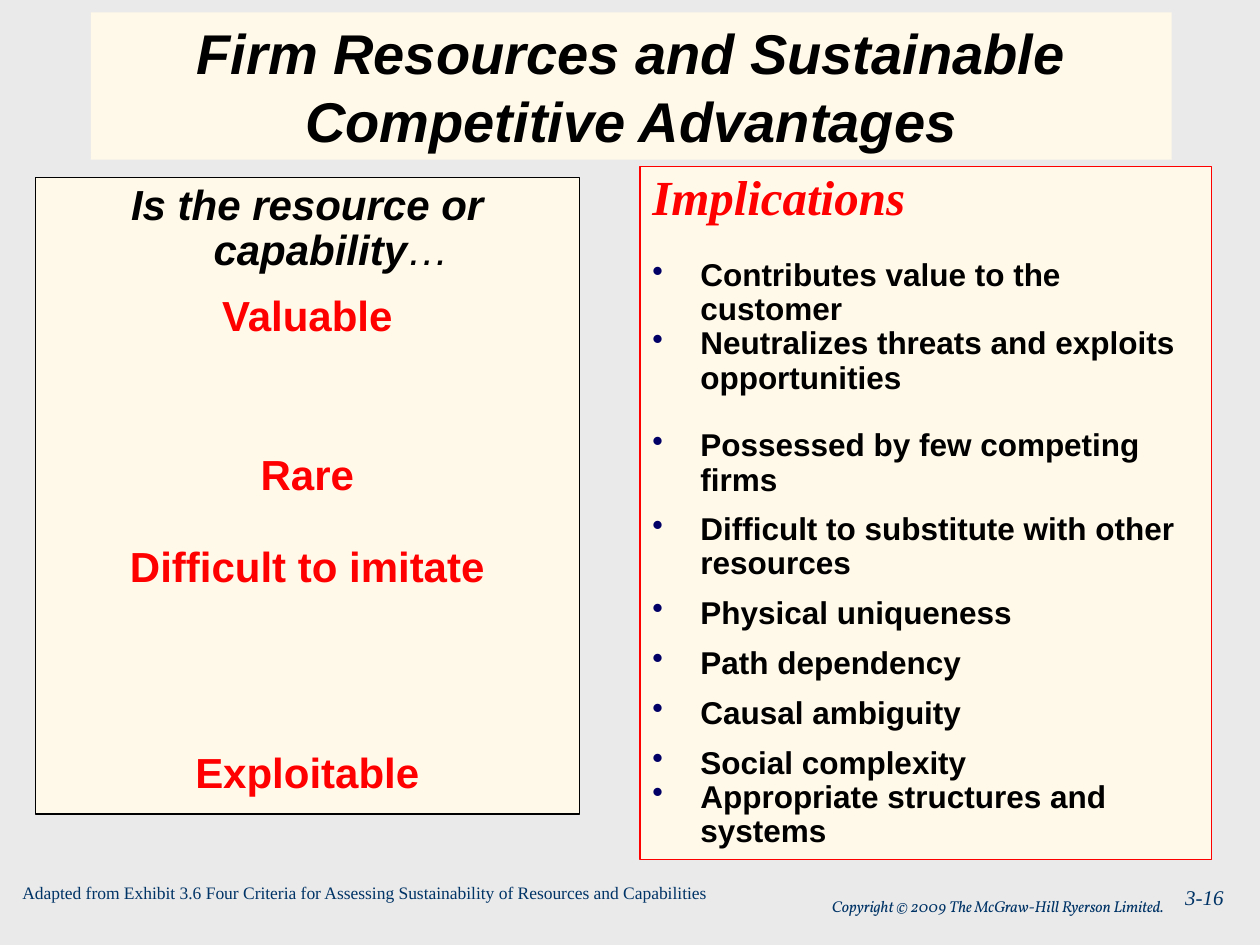
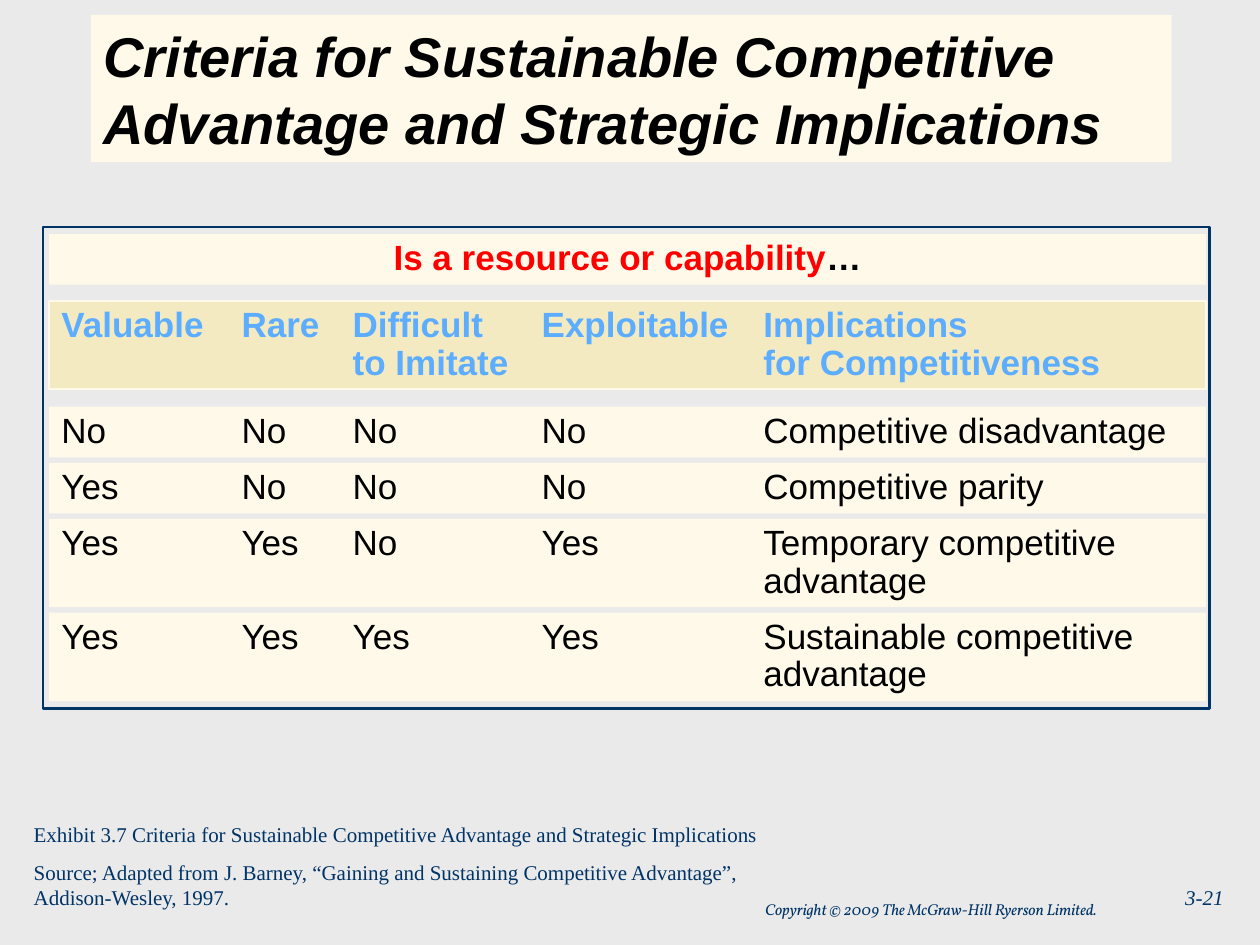
from dataclasses import dataclass

from lxml import etree
from pptx import Presentation
from pptx.dml.color import RGBColor
from pptx.enum.shapes import MSO_SHAPE
from pptx.enum.text import MSO_ANCHOR, MSO_AUTO_SIZE, PP_ALIGN
from pptx.oxml.ns import qn
from pptx.util import Cm, Pt

RECTANGLE = MSO_SHAPE.RECTANGLE
TOP, BOTTOM = MSO_ANCHOR.TOP, MSO_ANCHOR.BOTTOM
NO_FIT = MSO_AUTO_SIZE.NONE
LEFT, CENTER, RIGHT = PP_ALIGN.LEFT, PP_ALIGN.CENTER, PP_ALIGN.RIGHT


@dataclass(frozen=True)
class Theme:
    background: str = "EAEAEA"
    panel: str = "FFF9E9"
    header: str = "FFEB99"
    header_text: str = "5CADFF"
    ink: str = "000000"
    accent: str = "FF0000"
    navy: str = "003366"
    bullet: str = "000066"
    sans: str = "Arial"
    serif: str = "Times New Roman"
    footer_font: str = "Vollkorn"
    title_size: float = 32
    implications_size: float = 28
    criteria_size: float = 24
    table_size: float = 20
    list_size: float = 18
    note_size: float = 12
    source_size: float = 10
    copyright_size: float = 9


THEME = Theme()
HANGING = 0.97
COLUMN_TABS = (3.63, 5.87, 9.68, 14.15)
COPYRIGHT = "Copyright © 2009 The McGraw-Hill Ryerson Limited."


def add_element(parent, tag, **attributes):
    element = etree.SubElement(parent, qn(tag))
    for name, value in attributes.items():
        element.set(name, str(value))
    return element


def write(para, text, *, size, font=THEME.sans, color=THEME.ink, bold=False,
          italic=False, align=LEFT, spacing=1.0, before=0, hanging=0,
          bullet=False, tabs=()):
    """Add a span of text; paragraph settings come with its first span."""
    if not para.runs:
        properties = para._p.get_or_add_pPr()
        # An explicit indent makes LibreOffice discard the tab stops
        if hanging:
            properties.set("marL", str(Cm(hanging)))
            properties.set("indent", str(-Cm(hanging)))
        if bullet:
            bullet_color = add_element(properties, "a:buClr")
            add_element(bullet_color, "a:srgbClr", val=THEME.bullet)
            add_element(properties, "a:buChar", char="•")
        else:
            add_element(properties, "a:buNone")
        if tabs:
            stops = add_element(properties, "a:tabLst")
            for stop in tabs:
                add_element(stops, "a:tab", pos=Cm(stop), algn="l")
        para.alignment = align
        para.line_spacing = spacing
        para.space_before = Pt(before)
        para.space_after = Pt(0)
    span = para.add_run()
    span.text = text
    span.font.name = font
    span.font.size = Pt(size)
    span.font.bold = bold
    span.font.italic = italic
    span.font.color.rgb = RGBColor.from_string(color)


class Builder:
    def __init__(self, theme):
        self.theme = theme
        self.deck = Presentation()
        self.deck.slide_width, self.deck.slide_height = Cm(25.4), Cm(19.05)
        self.page = None

    def new_page(self, layout):
        self.page = self.deck.slides.add_slide(self.deck.slide_layouts[layout])
        fill = self.page.background.fill
        fill.solid()
        fill.fore_color.rgb = RGBColor.from_string(self.theme.background)

    def place(self, shape, left, top, width, height):
        shape.left, shape.top = Cm(left), Cm(top)
        shape.width, shape.height = Cm(width), Cm(height)

    def paint(self, shape, fill=None, line=None, line_width=0.75, alpha=None):
        if fill:
            shape.fill.solid()
            shape.fill.fore_color.rgb = RGBColor.from_string(fill)
            if alpha is not None:
                color = shape._element.spPr.find(".//" + qn("a:srgbClr"))
                add_element(color, "a:alpha", val=alpha * 1000)
        else:
            shape.fill.background()
        if line:
            shape.line.color.rgb = RGBColor.from_string(line)
            shape.line.width = Pt(line_width)
        else:
            shape.line.fill.background()

    def fill_text(self, shape, paragraphs, anchor=TOP, **common):
        """Each paragraph is a list of (text, format) spans."""
        frame = shape.text_frame
        frame.word_wrap = True
        frame.auto_size = NO_FIT
        frame.vertical_anchor = anchor
        for index, spans in enumerate(paragraphs):
            para = frame.add_paragraph() if index else frame.paragraphs[0]
            for text, options in spans:
                options = {**common, **options}
                if index == 0:
                    options["before"] = 0
                write(para, text, **options)

    def title(self, text, top, align):
        title = self.page.shapes.title
        self.place(title, 1.83, top, 21.79, 2.97)
        self.paint(title, self.theme.panel)
        self.fill_text(title, [[(text, {})]], BOTTOM, align=align, bold=True,
                       italic=True, size=self.theme.title_size)

    def body(self, position, paragraphs, **common):
        body = self.page.placeholders[1]
        self.place(body, *position)
        self.paint(body, self.theme.panel, self.theme.ink)
        self.fill_text(body, paragraphs, **common)

    def panel(self, position, paragraphs=(), look=None, **common):
        box = self.page.shapes.add_shape(RECTANGLE, *map(Cm, position))
        box.shadow.inherit = False
        self.paint(box, **(look or {"fill": self.theme.panel}))
        self.fill_text(box, paragraphs, **common)

    def label(self, position, texts, **common):
        box = self.page.shapes.add_textbox(*map(Cm, position))
        self.fill_text(box, [[(text, {})] for text in texts],
                       **{"color": self.theme.navy, "font": self.theme.serif, **common})

    def footer(self, number, left, top):
        self.label((20.68, 17.7, 4.24, 0.76), [number], align=RIGHT,
                   italic=True, size=self.theme.note_size)
        self.label((left, top, 11.53, 0.64), [COPYRIGHT], align=RIGHT, italic=True,
                   font=self.theme.footer_font, size=self.theme.copyright_size)

    def table_row(self, top, height, lines, look=None, **common):
        self.panel((0.99, top, 23.32, height), lines, look, spacing=0.9,
                   tabs=COLUMN_TABS, size=self.theme.table_size, **common)


def build_resources_page(builder):
    theme = builder.theme
    builder.new_page(1)
    builder.title("Firm Resources and Sustainable Competitive Advantages", 0.25, CENTER)

    # Criteria, each level with its implications
    question = [("Is the resource or capability", {"italic": True}),
                ("…", {"italic": True, "bold": False})]
    criteria = [("Valuable", 12), ("Rare", 65), ("Difficult to imitate", 26.2),
                ("Exploitable", 92.3)]
    answers = [[(text, {"color": theme.accent, "before": before})]
               for text, before in criteria]
    builder.body((0.71, 3.58, 10.97, 12.83), [question] + answers, bold=True,
                 align=CENTER, spacing=0.9, hanging=HANGING, size=theme.criteria_size)

    # Implications
    heading = [("Implications", {"font": theme.serif, "color": theme.accent,
                                 "italic": True, "size": theme.implications_size})]
    implications = [
        ("Contributes value to the customer", 19.4),
        ("Neutralizes threats and exploits opportunities", 0),
        ("Possessed by few competing firms", 19.4),
        ("Difficult to substitute with other resources", 9),
        ("Physical uniqueness", 9),
        ("Path dependency", 9),
        ("Causal ambiguity", 9),
        ("Social complexity", 9),
        ("Appropriate structures and systems", 0),
    ]
    bullets = [[(text, {"bullet": True, "before": before})]
               for text, before in implications]
    builder.panel((12.9, 3.36, 11.53, 13.97), [heading] + bullets,
                  {"fill": theme.panel, "line": theme.accent}, bold=True,
                  spacing=0.9, hanging=HANGING, size=theme.list_size)

    # Source and footer
    builder.label((0.2, 17.65, 19.71, 0.69),
                  ["Adapted from Exhibit 3.6 Four Criteria for Assessing "
                   "Sustainability of Resources and Capabilities"],
                  size=theme.source_size)
    builder.footer("3-16", 12.17, 17.96)


def build_criteria_page(builder):
    theme = builder.theme
    builder.new_page(5)
    builder.title("Criteria for Sustainable Competitive Advantage and "
                  "Strategic Implications", 0.3, LEFT)

    # Banner and column headings
    builder.table_row(4.72, 1.02, [[("Is a resource or capability", {"color": theme.accent}),
                                    ("…", {})]], align=CENTER, bold=True)
    headings = ["Valuable\tRare\tDifficult\tExploitable\tImplications",
                "\t\tto Imitate\t\tfor Competitiveness"]
    builder.table_row(6.07, 1.78, [[(line, {})] for line in headings],
                      {"fill": theme.header, "alpha": 50, "line": theme.panel,
                       "line_width": 1}, color=theme.header_text, bold=True)

    # Rows, one or two lines high
    rows = [
        ["No\tNo\tNo\tNo\tCompetitive disadvantage"],
        ["Yes\tNo\tNo\tNo\tCompetitive parity"],
        ["Yes\tYes\tNo\tYes\tTemporary competitive", "\t\t\t\tadvantage"],
        ["Yes\tYes\tYes\tYes\tSustainable competitive", "\t\t\t\tadvantage"],
    ]
    top, gap = 8.2, 0.11
    for lines in rows:
        height = 1.02 if len(lines) == 1 else 1.78
        builder.table_row(top, height, [[(line, {})] for line in lines])
        top += height + gap

    # Frame around the rows
    builder.panel((0.87, 4.58, 23.52, 9.7), look={"line": theme.navy, "line_width": 1.5})

    # Source and footer
    builder.label((0.43, 16.43, 16.28, 2.06),
                  ["Exhibit 3.7 Criteria for Sustainable Competitive Advantage "
                   "and Strategic Implications",
                   "Source; Adapted from J. Barney, “Gaining and Sustaining "
                   "Competitive Advantage”, Addison-Wesley, 1997."],
                  before=7.5, size=theme.note_size)
    builder.footer("3-21", 10.82, 18.01)


def main():
    builder = Builder(THEME)
    build_resources_page(builder)
    build_criteria_page(builder)
    builder.deck.save("out.pptx")


if __name__ == "__main__":
    main()
